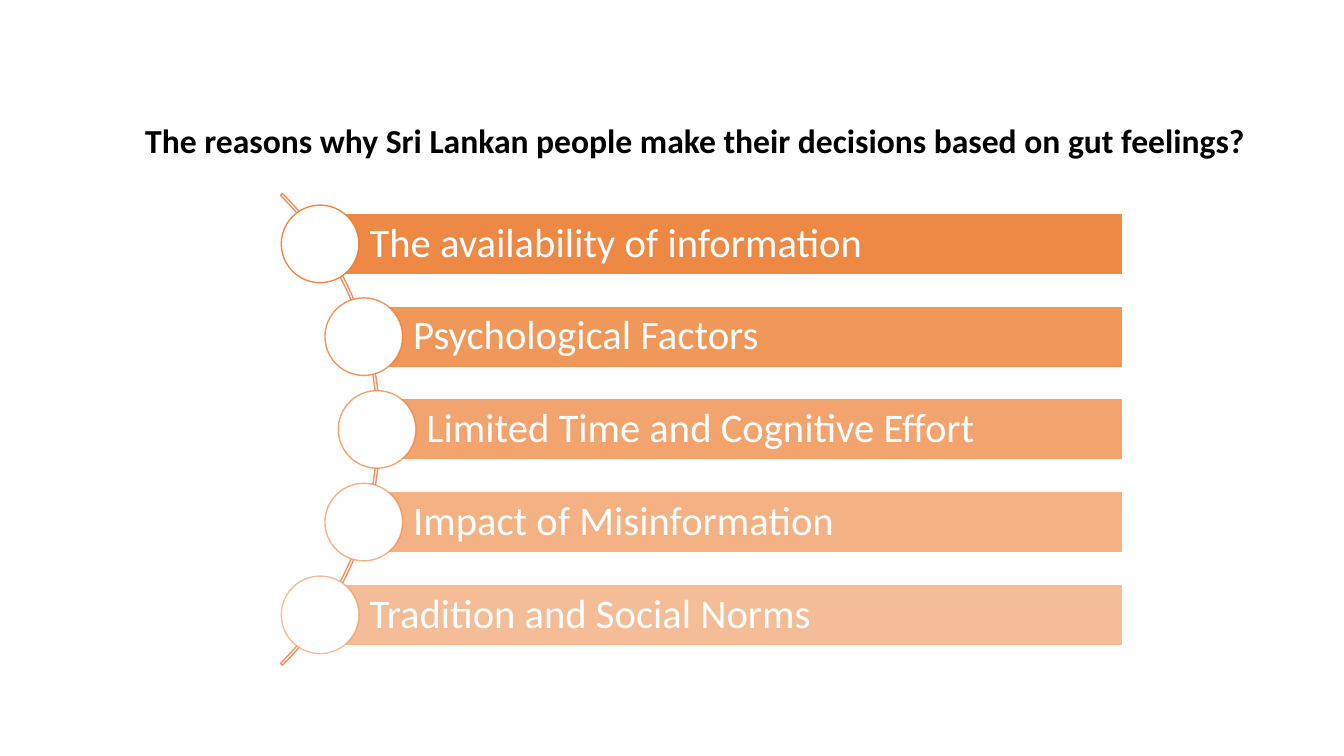
from dataclasses import dataclass
from math import sqrt

from lxml import etree
from pptx import Presentation
from pptx.dml.color import RGBColor
from pptx.enum import shapes, text
from pptx.oxml import ns
from pptx.util import Inches, Pt


@dataclass(frozen=True)
class Theme:
    font: str = "Calibri"
    title_size: int = 24
    bar_size: int = 29
    line_width: int = 1
    black: RGBColor = RGBColor(0x00, 0x00, 0x00)
    white: RGBColor = RGBColor(0xFF, 0xFF, 0xFF)
    orange: RGBColor = RGBColor(0xED, 0x7D, 0x31)
    arc: RGBColor = RGBColor(0xEF, 0x91, 0x66)


THEME = Theme()
TITLE = "The reasons why Sri Lankan people make their decisions based on gut feelings?"
REASONS = [
    "The availability of information",
    "Psychological Factors",
    "Limited Time and Cognitive Effort",
    "Impact of Misinformation",
    "Tradition and Social Norms",
]


def paint(fill, color, opacity=100):
    """Make a fill solid, with opacity in percent."""
    fill.solid()
    fill.fore_color.rgb = color
    if opacity < 100:
        clr = fill._xPr.find(".//" + ns.qn("a:srgbClr"))
        etree.SubElement(clr, ns.qn("a:alpha"), val=str(opacity * 1000))


def add_shape(s, kind, box, line, fill=None, fill_opacity=100, line_opacity=100):
    sp = s.shapes.add_shape(kind, *(Inches(v) for v in box))
    sp.shadow.inherit = False
    if fill is None:
        sp.fill.background()
    else:
        paint(sp.fill, fill, fill_opacity)
    paint(sp.line.fill, line, line_opacity)
    sp.line.width = Pt(THEME.line_width)
    return sp


def style_run(p, size, color, bold=False):
    font = p.runs[0].font
    font.name, font.size, font.bold = THEME.font, Pt(size), bold
    font.color.rgb = color


def add_title(s, box):
    sp = s.shapes.title
    sp.left, sp.top, sp.width, sp.height = (Inches(v) for v in box)
    tf = sp.text_frame
    tf.text = TITLE
    tf.word_wrap = True
    tf.auto_size = text.MSO_AUTO_SIZE.SHAPE_TO_FIT_TEXT
    tf.vertical_anchor = text.MSO_ANCHOR.TOP
    p = tf.paragraphs[0]
    p.alignment = text.PP_ALIGN.LEFT
    style_run(p, THEME.title_size, THEME.black, bold=True)


def add_bar(s, box, label, opacity):
    sp = add_shape(s, shapes.MSO_SHAPE.RECTANGLE, box, THEME.white, THEME.orange, opacity)
    tf = sp.text_frame
    tf.text = label
    tf.word_wrap = True
    tf.vertical_anchor = text.MSO_ANCHOR.MIDDLE
    tf.margin_left = Inches(0.49)
    tf.margin_right = tf.margin_top = tf.margin_bottom = Inches(0.08)
    p = tf.paragraphs[0]
    p.alignment = text.PP_ALIGN.LEFT
    p.line_spacing = 0.9
    style_run(p, THEME.bar_size, THEME.white)


def add_curved_list(s, box, labels):
    """Bars that start on an arc bulging right; box is the arc's square plus the bars' right edge."""
    left, top, size, right = box
    center_x, center_y = left + size / 2, top + size / 2
    radius, step, bar_height, dot = 3.28, 0.92, 0.61, 0.77

    # Arc
    arc = add_shape(s, shapes.MSO_SHAPE.BLOCK_ARC, (left, top, size, size), THEME.arc)
    for i, value in enumerate((189, 27, 0.004)):
        arc.adjustments[i] = value

    # Bars and their circles, fading downwards
    for i, label in enumerate(labels):
        dy = (i - (len(labels) - 1) / 2) * step
        x, y = center_x + sqrt(radius**2 - dy**2), center_y + dy
        opacity = 90 - 10 * i
        add_bar(s, (x, y - bar_height / 2, right - x, bar_height), label, opacity)
        add_shape(s, shapes.MSO_SHAPE.OVAL, (x - dot / 2, y - dot / 2, dot, dot),
                  THEME.orange, THEME.white, line_opacity=opacity)


def main():
    prs = Presentation()
    prs.slide_width, prs.slide_height = Inches(13.33), Inches(7.5)
    s = prs.slides.add_slide(prs.slide_layouts[5])
    add_title(s, (1.34, 1.14, 11.23, 0.5))
    add_curved_list(s, (-2.85, 0.95, 6.62, 11.14), REASONS)
    prs.save("out.pptx")


if __name__ == "__main__":
    main()
